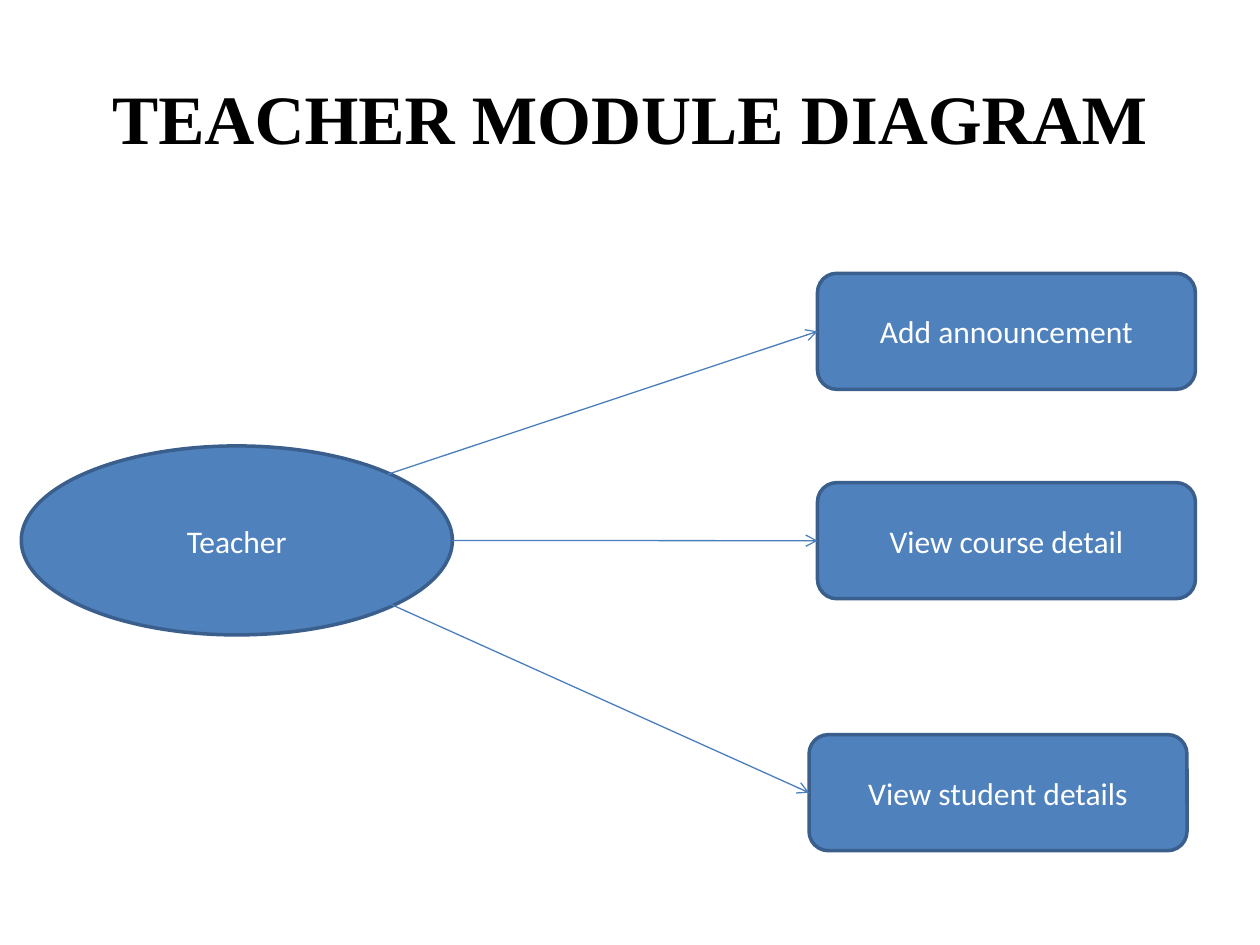
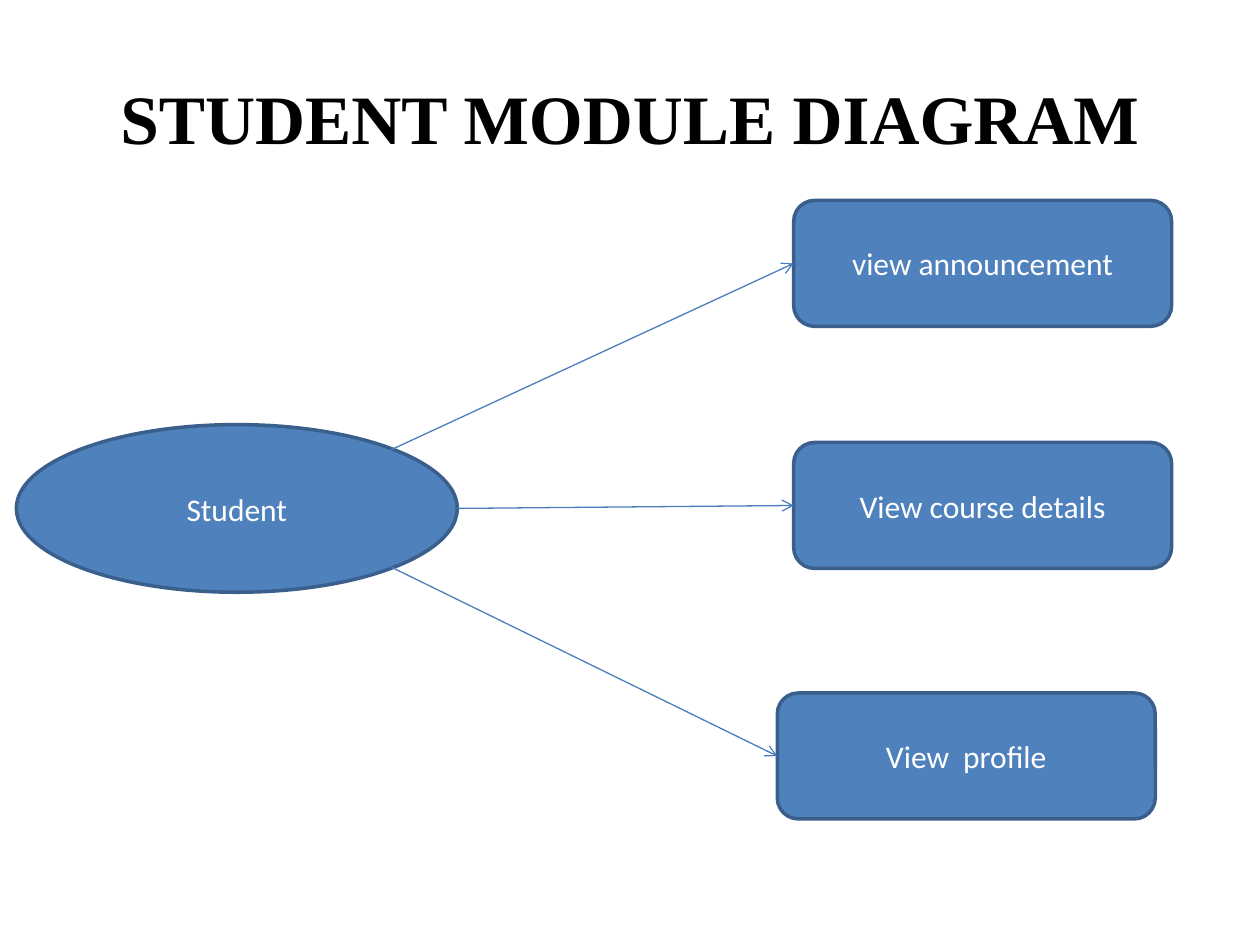
"""Builds the module diagrams: one user role linked to its tasks on each slide."""
import dataclasses

import lxml.etree
import pptx
import pptx.dml.color
import pptx.enum.shapes
import pptx.enum.text
import pptx.oxml.ns
import pptx.util

Cm = pptx.util.Cm
Pt = pptx.util.Pt
RGBColor = pptx.dml.color.RGBColor
SHAPE = pptx.enum.shapes.MSO_SHAPE

BLACK = RGBColor(0x00, 0x00, 0x00)
WHITE = RGBColor(0xFF, 0xFF, 0xFF)
BLUE = RGBColor(0x4F, 0x81, 0xBD)
OUTLINE = RGBColor(0x3A, 0x5F, 0x8C)
ARROW = RGBColor(0x4B, 0x7E, 0xBC)

TITLE_FONT = "Times New Roman"
BODY_FONT = "Calibri"
TITLE_BOX = (1.27, 0.76, 22.86, 3.18)
TASK_WIDTH = 7.62
UPPER = (0.85, 0.15)
MIDDLE = (1, 0.5)
LOWER = (0.85, 0.85)


@dataclasses.dataclass
class Task:
    """A task, its top and right inset in the diagram, and its arrow's start as shares of the role."""
    label: str
    top: float
    start: tuple
    inset: float = 0


@dataclasses.dataclass
class Module:
    """A role with its tasks; boxes are left, top, width and height in centimetres."""
    title: str
    role: str
    box: tuple
    role_box: tuple
    task_height: float
    tasks: list


MODULES = [
    Module("TEACHER MODULE DIAGRAM", "Teacher",
           (0.43, 5.51, 23.67, 11.64), (0, 3.48, 8.69, 3.81), 2.34,
           [Task("Add announcement", 0, UPPER),
            Task("View course detail", 4.22, MIDDLE),
            Task("View student details", 9.3, (0.83, 0.81), 0.17)]),
    Module("STUDENT MODULE DIAGRAM", "Student",
           (0.33, 4.04, 23.29, 12.47), (0, 4.52, 8.89, 3.38), 2.54,
           [Task("view announcement", 0, UPPER),
            Task("View course details", 4.88, MIDDLE),
            Task("View  profile", 9.93, LOWER, 0.33)]),
]


def write(frame, text, font, size, color, bold=False):
    """Write one centred line in the middle of a text frame."""
    frame.word_wrap = True
    frame.auto_size = pptx.enum.text.MSO_AUTO_SIZE.NONE
    frame.vertical_anchor = pptx.enum.text.MSO_ANCHOR.MIDDLE
    paragraph = frame.paragraphs[0]
    paragraph.alignment = pptx.enum.text.PP_ALIGN.CENTER
    run = paragraph.add_run()
    run.text = text
    run.font.name = font
    run.font.size = Pt(size)
    run.font.bold = bold
    run.font.color.rgb = color


def add_title(slide, text, box):
    """Place the slide title in its placeholder."""
    title = slide.shapes.title
    title.left, title.top, title.width, title.height = map(Cm, box)
    write(title.text_frame, text, TITLE_FONT, 39.6, BLACK, bold=True)


def add_node(slide, kind, label, box):
    """Add a blue labelled shape and return it."""
    node = slide.shapes.add_shape(kind, *map(Cm, box))
    node.shadow.inherit = False
    node.fill.solid()
    node.fill.fore_color.rgb = BLUE
    node.line.color.rgb = OUTLINE
    node.line.width = Pt(2)
    write(node.text_frame, label, BODY_FONT, 18, WHITE)
    return node


def add_arrow(slide, role, task, start):
    """Draw an arrow from a point of the role to the left side of a task."""
    across, down = start
    arrow = slide.shapes.add_connector(
        pptx.enum.shapes.MSO_CONNECTOR.STRAIGHT,
        int(role.left + across * role.width), int(role.top + down * role.height),
        task.left, task.top + task.height // 2)
    arrow.end_connect(task, 1)
    arrow.line.color.rgb = ARROW
    arrow.line.width = Pt(0.75)
    qn = pptx.oxml.ns.qn
    properties = arrow.line._get_or_add_ln()
    lxml.etree.SubElement(properties, qn("a:tailEnd"), type="arrow")
    lxml.etree.SubElement(properties.getparent(), qn("a:effectLst"))


def add_diagram(slide, module, box):
    """Place the role on the left of the box and its tasks on the right."""
    left, top, width, _ = box
    role_left, role_top, *role_size = module.role_box
    role = add_node(slide, SHAPE.OVAL, module.role,
                    (left + role_left, top + role_top, *role_size))
    task_left = left + width - TASK_WIDTH
    nodes = [add_node(slide, SHAPE.ROUNDED_RECTANGLE, task.label,
                      (task_left - task.inset, top + task.top, TASK_WIDTH, module.task_height))
             for task in module.tasks]
    for task, node in zip(module.tasks, nodes):
        add_arrow(slide, role, node, task.start)


def build():
    """Build and save the presentation."""
    deck = pptx.Presentation()
    deck.slide_width, deck.slide_height = Cm(25.4), Cm(19.05)
    title_only = deck.slide_layouts[5]
    for module in MODULES:
        slide = deck.slides.add_slide(title_only)
        add_title(slide, module.title, TITLE_BOX)
        add_diagram(slide, module, module.box)
    deck.save("out.pptx")


build()
